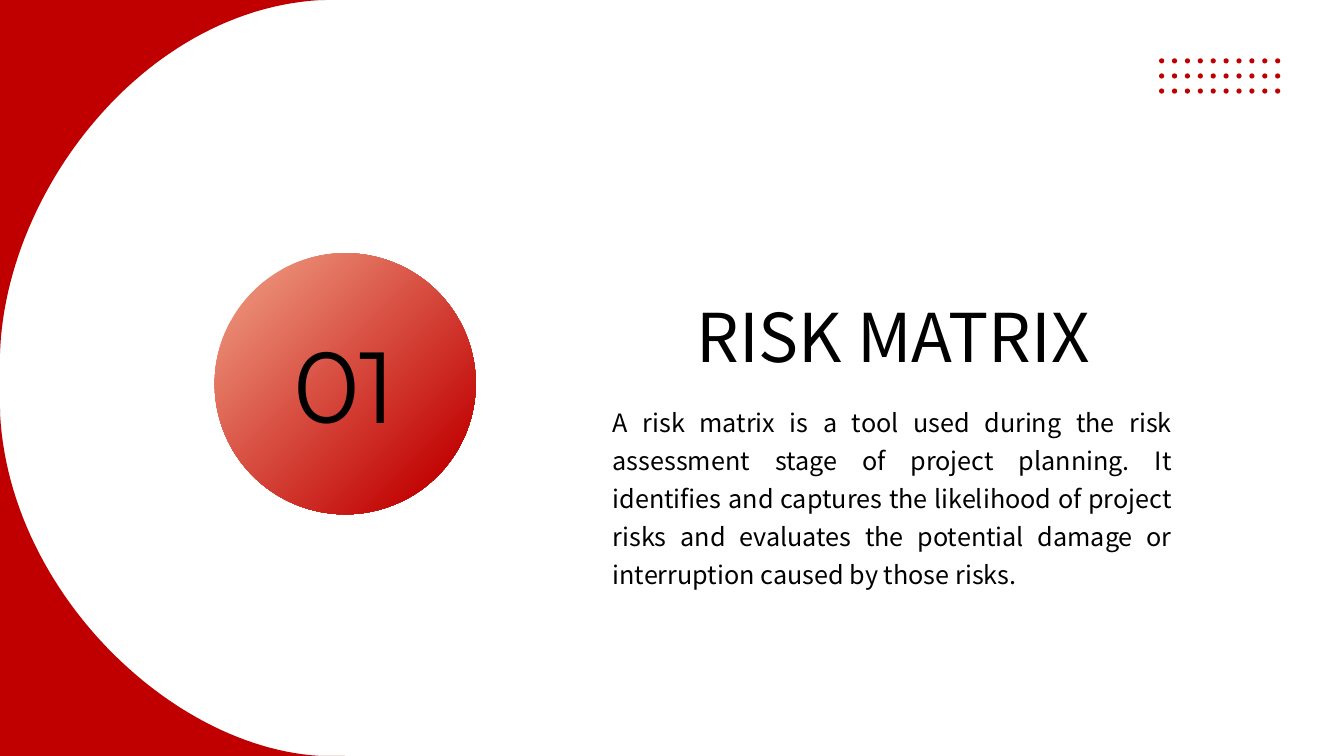
from pptx import Presentation
from pptx.dml.color import RGBColor
from pptx.enum.shapes import MSO_SHAPE
from pptx.enum.text import MSO_ANCHOR, MSO_AUTO_SIZE, PP_ALIGN
from pptx.util import Cm, Pt

RED = "C00000"
PEACH = "E98871"
BLACK = "000000"
SANS = "Noto Sans CJK SC"
STEPS = 60

BODY = ("A risk matrix is a tool used during the risk assessment stage of "
        "project planning. It identifies and captures the likelihood of "
        "project risks and evaluates the potential damage or interruption "
        "caused by those risks.")


def paint(fill, color):
    fill.solid()
    fill.fore_color.rgb = RGBColor.from_string(color)


def curve(start, pull1, pull2, end):
    """Points along a cubic Bezier curve, kept inside the slide (cm)."""
    points = []
    for step in range(STEPS + 1):
        t = step / STEPS
        u = 1 - t
        x, y = (u**3 * a + 3 * u * u * t * b + 3 * u * t * t * c + t**3 * d
                for a, b, c, d in zip(start, pull1, pull2, end))
        points.append((max(0, x), min(max(0, y), 19.05)))
    return points


def add_corner(slide, tip, arc):
    """Fill the area between a slide corner and an arc."""
    build = slide.shapes.build_freeform(Cm(tip[0]), Cm(tip[1]))
    build.add_line_segments([(Cm(x), Cm(y)) for x, y in arc], close=True)
    corner = build.convert_to_shape()
    corner.shadow.inherit = False
    paint(corner.fill, RED)
    corner.line.fill.background()


def add_disc(shapes, left, top, size):
    disc = shapes.add_shape(MSO_SHAPE.OVAL, Cm(left), Cm(top), Cm(size), Cm(size))
    disc.shadow.inherit = False
    disc.line.fill.background()
    return disc


def add_dots(slide, left, top, cols, rows):
    shapes = slide.shapes.add_group_shape().shapes
    for row in range(rows):
        for col in range(cols):
            dot = add_disc(shapes, left + col * 0.325, top + row * 0.38, 0.13)
            paint(dot.fill, RED)


def set_text(frame, text, size, font, align):
    frame.word_wrap = True
    frame.vertical_anchor = MSO_ANCHOR.TOP
    frame.text = text
    para = frame.paragraphs[0]
    para.alignment = align
    para.font.size = Pt(size)
    para.font.name = font
    para.font.color.rgb = RGBColor.from_string(BLACK)
    return para


def add_text(shapes, box, *style):
    frame = shapes.add_textbox(*map(Cm, box)).text_frame
    para = set_text(frame, *style)
    frame.auto_size = MSO_AUTO_SIZE.SHAPE_TO_FIT_TEXT
    return para


def add_badge(slide, number):
    """Gradient disc with the section number."""
    shapes = slide.shapes.add_group_shape().shapes
    fill = add_disc(shapes, 5.41, 6.38, 6.58).fill
    fill.gradient()
    fill.gradient_angle = 315
    for stop, color, place in zip(fill.gradient_stops, (PEACH, RED), (0.15, 0.89)):
        stop.color.rgb = RGBColor.from_string(color)
        stop.position = place
    add_text(shapes, (5.87, 8, 5.64, 3.33), number, 72, "Montserrat", PP_ALIGN.CENTER)


def set_title(slide, text):
    title = slide.shapes.title
    title.left, title.top, title.width, title.height = map(Cm, (16.13, 7.44, 12.75, 2.06))
    frame = title.text_frame
    frame.margin_left = frame.margin_right = frame.margin_top = frame.margin_bottom = 0
    frame.auto_size = MSO_AUTO_SIZE.NONE
    set_text(frame, text, 48, SANS, PP_ALIGN.CENTER)


def main():
    deck = Presentation()
    deck.slide_width, deck.slide_height = Cm(33.87), Cm(19.05)
    slide = deck.slides.add_slide(deck.slide_layouts[5])

    add_corner(slide, (0, 0), curve((8.81, 0), (3.86, -0.25), (-0.13, 4.93), (0, 9.37)))
    add_corner(slide, (0, 19.05),
               curve((0, 9.68), (-0.23, 14.68), (4.55, 19.28), (8.69, 19.05)))
    add_dots(slide, 29.21, 1.47, 10, 3)
    add_badge(slide, "01")
    set_title(slide, "RISK MATRIX")
    body = add_text(slide.shapes, (15.19, 9.96, 14.6, 5), BODY, 18, SANS, PP_ALIGN.JUSTIFY)
    body.line_spacing = 1.25
    body.space_after = Pt(8)

    deck.save("out.pptx")


if __name__ == "__main__":
    main()
